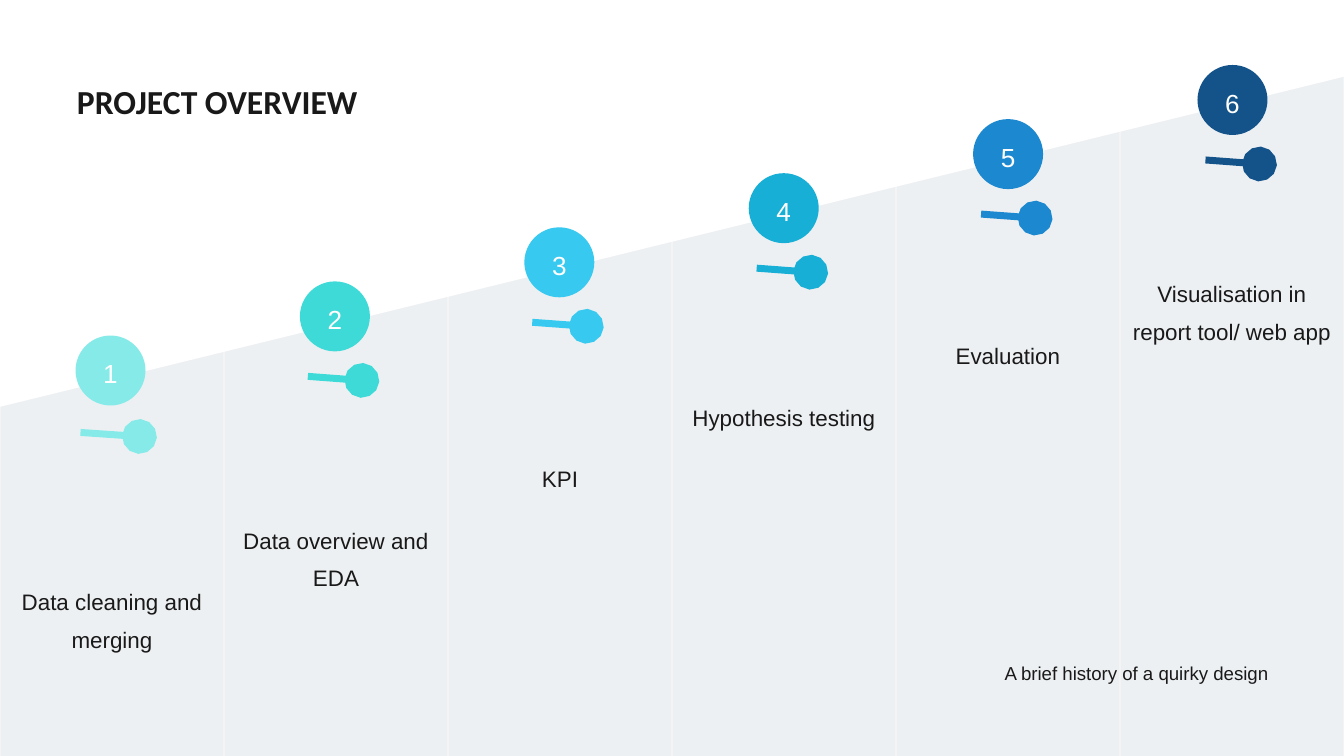
import pptx
import pptx.dml.color
import pptx.enum.shapes
import pptx.enum.text
import pptx.oxml
import pptx.oxml.ns
import pptx.util

RGBColor = pptx.dml.color.RGBColor
Align = pptx.enum.text.PP_ALIGN
Anchor = pptx.enum.text.MSO_ANCHOR
AutoSize = pptx.enum.text.MSO_AUTO_SIZE

EMU_PER_PX = 914400 / 134.4
PAGE_WIDTH, PAGE_HEIGHT = 1344, 756
ROW_HEIGHT = 758

INK = RGBColor(0x19, 0x19, 0x19)
WHITE = RGBColor(0xFF, 0xFF, 0xFF)
PANEL = RGBColor(0xED, 0xF0, 0xF2)
BORDER = RGBColor(0xF4, 0xF4, 0xF4)

STEPS = [
    ("Data cleaning and merging", RGBColor(0x86, 0xEA, 0xE9)),
    ("Data overview and EDA", RGBColor(0x3E, 0xDA, 0xD8)),
    ("KPI", RGBColor(0x37, 0xC9, 0xEF)),
    ("Hypothesis testing", RGBColor(0x18, 0xAF, 0xD6)),
    ("Evaluation", RGBColor(0x1C, 0x88, 0xCF)),
    ("Visualisation in report tool/ web app", RGBColor(0x13, 0x53, 0x8A)),
]

FIRST_PIN = (5, 97, 64, 101)
PIN = (8, 95, 62, 99)

TITLE_FONT = {"name": "Calibri", "size": pptx.util.Pt(18), "bold": True}
LABEL_FONT = {"name": "Arial", "size": pptx.util.Pt(12)}
NUMBER_FONT = {"name": "Arial", "size": pptx.util.Pt(14)}
CAPTION_FONT = {"name": "Arial", "size": pptx.util.Pt(10)}


def px(length):
    return pptx.util.Emu(round(length * EMU_PER_PX))


def set_all(target, values):
    for name, value in values.items():
        setattr(target, name, value)


def set_margins(target, left, top, right, bottom):
    set_all(target, {
        "margin_left": px(left), "margin_top": px(top),
        "margin_right": px(right), "margin_bottom": px(bottom),
    })


def write(frame, text, font, color, alignment, spacing):
    para = frame.paragraphs[0]
    set_all(para, {"alignment": alignment, "line_spacing": spacing})
    span = para.add_run()
    span.text = text
    set_all(span.font, font)
    span.font.color.rgb = color


def paint(shape, color):
    shape.shadow.inherit = False
    shape.fill.solid()
    shape.fill.fore_color.rgb = color
    shape.line.fill.background()


def add_borders(cell):
    properties = cell._tc.get_or_add_tcPr()
    for side in ("lnL", "lnR", "lnT", "lnB"):
        properties.append(pptx.oxml.parse_xml(
            f'<a:{side} {pptx.oxml.ns.nsdecls("a")} w="9525"><a:solidFill>'
            f'<a:srgbClr val="{BORDER}"/></a:solidFill></a:{side}>'))


def add_step_table(page):
    table = page.shapes.add_table(
        1, len(STEPS), px(0), px(-1), px(PAGE_WIDTH), px(ROW_HEIGHT)).table
    set_all(table, {"first_row": False, "horz_banding": False})
    for index, (label, color) in enumerate(STEPS):
        cell = table.cell(0, index)
        add_borders(cell)
        cell.fill.solid()
        cell.fill.fore_color.rgb = PANEL
        cell.vertical_anchor = Anchor.TOP
        set_margins(cell, 13, 579 - 61.6 * index, 13, 13)
        write(cell.text_frame, label, LABEL_FONT, INK, Align.CENTER, 1.5)


def add_slope(page):
    left, top, right, bottom = -148, -164, 1375, 250
    builder = page.shapes.build_freeform(px(left), px(top))
    builder.add_line_segments([
        (px(right), px(top)), (px(right), px(bottom)), (px(left), px(bottom))])
    slope = builder.convert_to_shape()
    slope.rotation = 346.2
    paint(slope, WHITE)


def add_number(page, number, left, top, color):
    circle = page.shapes.add_shape(
        pptx.enum.shapes.MSO_SHAPE.OVAL, px(left), px(top), px(70), px(70))
    paint(circle, color)
    frame = circle.text_frame
    set_all(frame, {"vertical_anchor": Anchor.MIDDLE, "word_wrap": True})
    set_margins(frame, 0, 0, 0, 7)
    write(frame, str(number), NUMBER_FONT, WHITE, Align.CENTER, 1.4)


def add_pin(page, start_x, start_y, end_x, end_y, color):
    pin = page.shapes.add_connector(
        pptx.enum.shapes.MSO_CONNECTOR.STRAIGHT,
        px(start_x), px(start_y), px(end_x), px(end_y))
    pin.line.width = pptx.util.Pt(3.75)
    pin.line.color.rgb = color
    namespace = pptx.oxml.ns.nsdecls("a")
    pin.line._get_or_add_ln().append(pptx.oxml.parse_xml(
        f'<a:tailEnd {namespace} type="oval" w="lg" len="lg"/>'))
    pin._element.spPr.append(pptx.oxml.parse_xml(f"<a:effectLst {namespace}/>"))


def format_text_box(box, text, font, alignment, spacing):
    frame = box.text_frame
    set_all(frame, {"word_wrap": True, "vertical_anchor": Anchor.TOP,
                    "auto_size": AutoSize.SHAPE_TO_FIT_TEXT})
    set_margins(frame, 0, 0, 0, 0)
    write(frame, text, font, INK, alignment, spacing)


def add_title(page):
    title = page.shapes.title
    set_all(title, {"left": px(77), "top": px(73),
                    "width": px(531), "height": px(40)})
    format_text_box(title, "PROJECT OVERVIEW", TITLE_FONT, Align.LEFT, 1.2)
    title._element.getparent().append(title._element)


def add_caption(page):
    box = page.shapes.add_textbox(px(919), px(653), px(349), px(27))
    format_text_box(box, "A brief history of a quirky design",
                    CAPTION_FONT, Align.RIGHT, 1.4)


def main():
    deck = pptx.Presentation()
    set_all(deck, {"slide_width": px(PAGE_WIDTH), "slide_height": px(PAGE_HEIGHT)})
    page = deck.slides.add_slide(deck.slide_layouts[5])
    add_step_table(page)
    add_slope(page)
    for index, (label, color) in enumerate(STEPS):
        left, top = 75.5 + 224.4 * index, 335.5 - 54.1 * index
        add_number(page, index + 1, left, top, color)
        start_x, start_y, end_x, end_y = PIN if index else FIRST_PIN
        add_pin(page, left + start_x, top + start_y,
                left + end_x, top + end_y, color)
    add_title(page)
    add_caption(page)
    deck.save("out.pptx")


if __name__ == "__main__":
    main()
